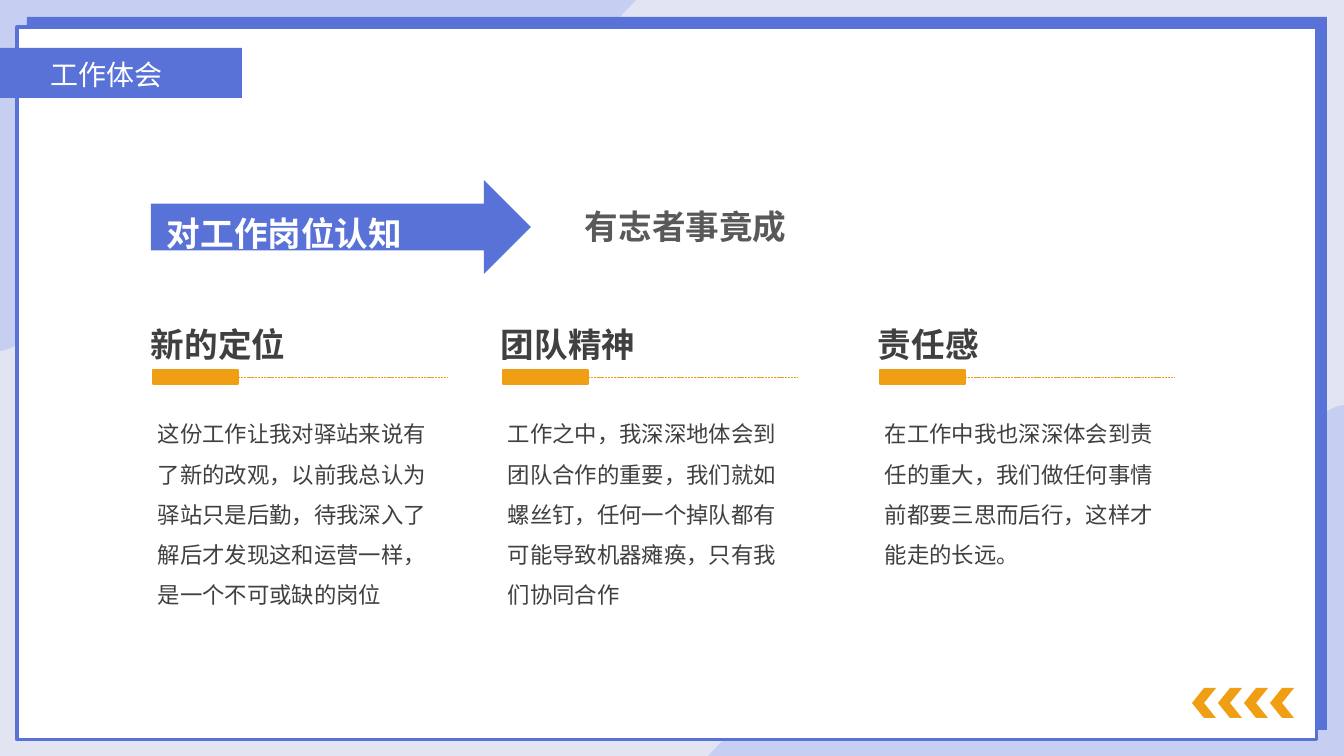
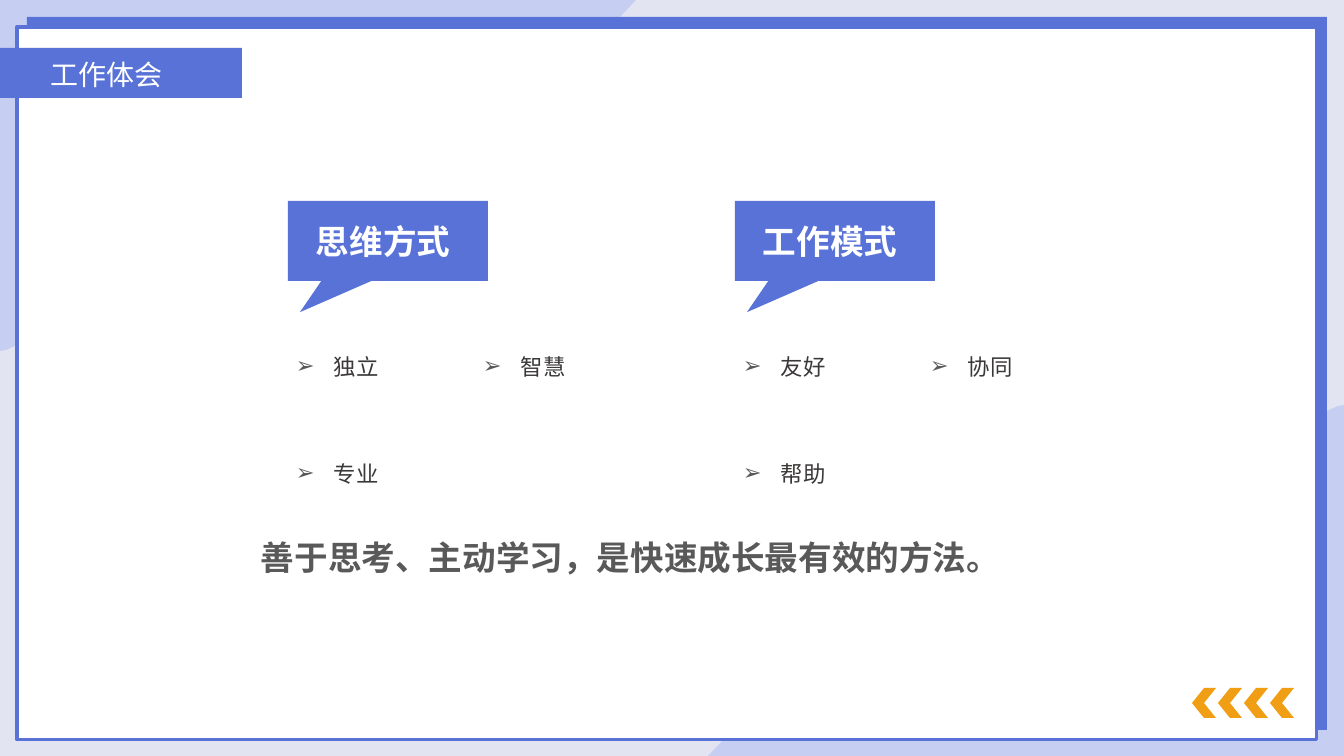
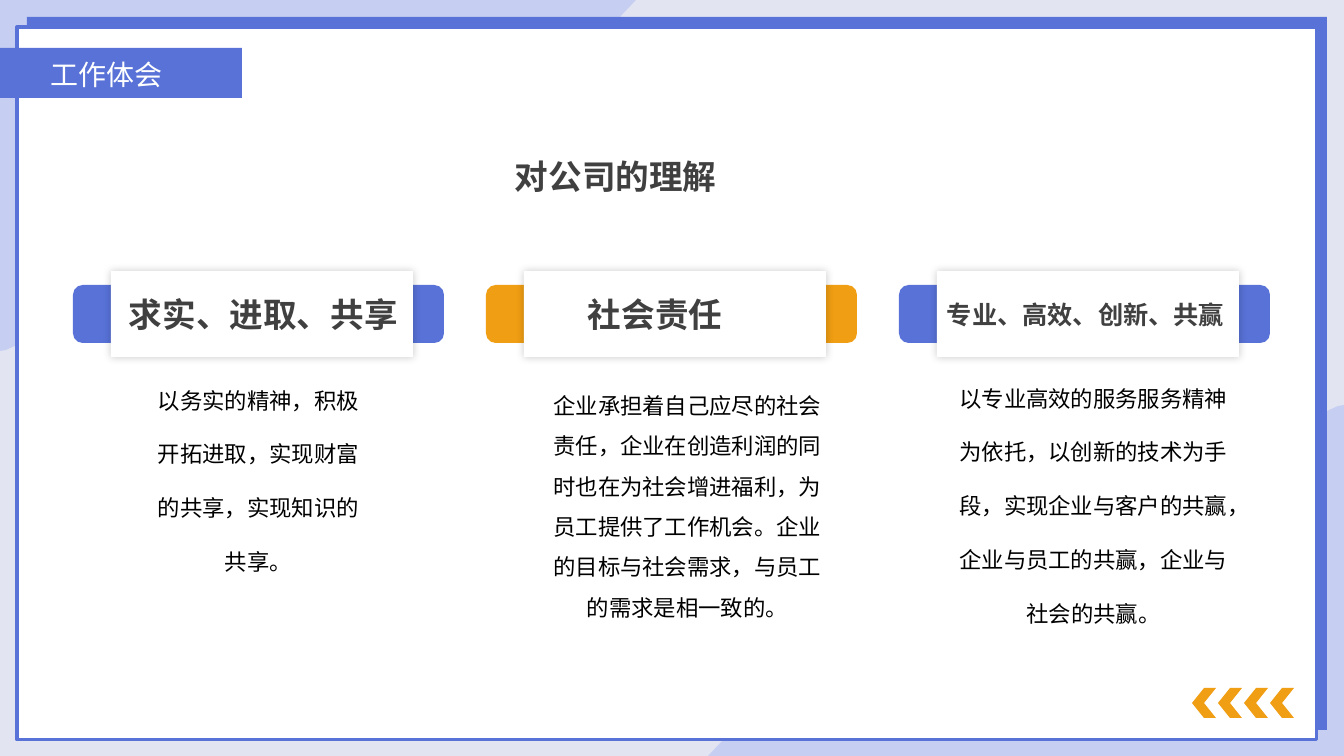
from lxml import etree
from pptx import Presentation
from pptx import util as u
from pptx.dml.color import RGBColor
from pptx.enum import dml, lang, shapes, text
from pptx.oxml.ns import qn

EMU_PER_PX = 914400 / 100.8
WIDTH, HEIGHT = 1344, 756
COLORS = {
    "blue": "5872D7", "orange": "F09E13", "white": "FFFFFF", "black": "000000",
    "page": "E2E5F1", "blob": "C6CFF2",
    "dark": "404040", "gray": "595959", "item": "3B3838",
}
LATIN, CJK = "Arial", "Noto Sans CJK SC"
SHAPE = shapes.MSO_SHAPE
ALIGN = text.PP_ALIGN
ANCHOR = text.MSO_ANCHOR


def px(n):
    return u.Emu(round(n * EMU_PER_PX))


def rgb(name):
    return RGBColor.from_string(COLORS[name])


def sub(parent, tag, **attrs):
    return etree.SubElement(parent, qn(tag), {k: str(v) for k, v in attrs.items()})


def write(tf, content, size=16, color="dark", bold=False, font=LATIN,
          align=ALIGN.LEFT, anchor=ANCHOR.TOP, spacing=None, bullet=None):
    """Put one formatted paragraph into a text frame."""
    tf.word_wrap = True
    tf.auto_size = text.MSO_AUTO_SIZE.NONE
    tf.vertical_anchor = anchor
    p = tf.paragraphs[0]
    p.alignment = align
    if spacing:
        p.line_spacing = spacing
    if bullet:
        pPr = p._p.get_or_add_pPr()
        pPr.set("marL", str(px(38)))
        pPr.set("indent", str(-px(38)))
        sub(sub(pPr, "a:buClr"), "a:srgbClr", val=COLORS["gray"])
        sub(pPr, "a:buFont", typeface=LATIN)
        sub(pPr, "a:buChar", char=bullet)
    r = p.add_run()
    r.text = content
    r.font.size = u.Pt(size)
    r.font.bold = bold
    r.font.name = font
    r.font.color.rgb = rgb(color)
    r.font.language_id = lang.MSO_LANGUAGE_ID.SIMPLIFIED_CHINESE
    sub(r._r.get_or_add_rPr(), "a:ea", typeface=CJK)


def curve(start, c1, c2, end, steps=16):
    """Points along a cubic curve, without its start."""
    for i in range(1, steps + 1):
        t = i / steps
        yield tuple((1 - t) ** 3 * a + 3 * t * (1 - t) ** 2 * b
                    + 3 * t * t * (1 - t) * c + t ** 3 * d
                    for a, b, c, d in zip(start, c1, c2, end))


class Deck:
    def __init__(self):
        self.prs = Presentation()
        self.prs.slide_width, self.prs.slide_height = px(WIDTH), px(HEIGHT)
        self.layout = self.prs.slide_layouts[5]
        self.s = None

    def slide(self, title):
        self.s = self.prs.slides.add_slide(self.layout)
        sp = self.s.shapes.title
        sp.left, sp.top, sp.width, sp.height = map(px, (40, 52, 192, 44))
        write(sp.text_frame, title, size=20, color="white", font=CJK)

    def style(self, sp, fill, line=None, weight=1):
        sp.shadow.inherit = False
        sp.fill.solid()
        sp.fill.fore_color.rgb = rgb(fill)
        if line:
            sp.line.color.rgb = rgb(line)
            sp.line.width = u.Pt(weight)
        else:
            sp.line.fill.background()
        return sp

    def shape(self, kind, x, y, w, h, fill, line=None, weight=1):
        sp = self.s.shapes.add_shape(kind, px(x), px(y), px(w), px(h))
        return self.style(sp, fill, line, weight)

    def label(self, sp, content, inset, **fmt):
        """Text inside a shape, starting at a left inset."""
        tf = sp.text_frame
        tf.margin_left = px(inset)
        tf.margin_right = tf.margin_top = tf.margin_bottom = 0
        write(tf, content, **{"size": 24, "bold": True,
                              "anchor": ANCHOR.MIDDLE, **fmt})

    def text(self, x, y, w, h, content, **fmt):
        sp = self.s.shapes.add_textbox(px(x), px(y), px(w), px(h))
        write(sp.text_frame, content, **fmt)

    def outline(self, points, fill):
        start, *rest = [(px(x), px(y)) for x, y in points]
        builder = self.s.shapes.build_freeform(*start, scale=1.0)
        builder.add_line_segments(rest, close=True)
        self.style(builder.convert_to_shape(), fill)

    def dashed_from(self, sp, x, y):
        """Dashed line from the right side of a shape to a point."""
        line = self.s.shapes.add_connector(
            shapes.MSO_CONNECTOR.STRAIGHT, sp.left + sp.width, px(y), px(x), px(y))
        line.begin_connect(sp, 3)
        line.line.color.rgb = rgb("orange")
        line.line.width = u.Pt(0.5)
        line.line.dash_style = dml.MSO_LINE.SQUARE_DOT
        sub(line.element.spPr, "a:effectLst")

    def glow(self, sp):
        """Soft shadow on all sides."""
        effects = sp.element.spPr.find(qn("a:effectLst"))
        shadow = sub(effects, "a:outerShdw", blurRad=u.Pt(6), dist=0, dir=0,
                     algn="ctr", rotWithShape=0)
        color = sub(shadow, "a:srgbClr", val=COLORS["black"])
        sub(color, "a:alpha", val=20000)

    def frame(self):
        """Draw the shared frame and move it into the layout."""
        fill = self.layout.background.fill
        fill.solid()
        fill.fore_color.rgb = rgb("page")
        # Corner blobs, one the other turned half round
        blob = [(0, 351), (0, 0), (636, 0), (620, 17)]
        for bend in (((564, 75), (508, 125), (451, 156)),
                     ((359, 207), (248, 176), (169, 210)),
                     ((100, 239), (75, 323), (6, 350))):
            blob += curve(blob[-1], *bend)
        self.outline([(WIDTH - x, HEIGHT - y) for x, y in blob], "blob")
        self.outline(blob, "blob")
        # Panel, title band and chevrons
        self.shape(SHAPE.RECTANGLE, 27, 17, 1300, 713, "blue")
        self.shape(SHAPE.RECTANGLE, 17, 27, 1300, 713, "white", "blue", 2.25)
        self.shape(SHAPE.RECTANGLE, 0, 48, 242, 50, "blue")
        for i in range(4):
            self.shape(SHAPE.CHEVRON, 1192 + 26 * i, 688, 24, 30, "orange").rotation = 180
        tree = self.layout.shapes.element
        for sp in list(self.s.shapes):
            if not sp.is_placeholder:
                tree.append(sp.element)
        for i, props in enumerate(tree.iter(qn("p:cNvPr")), 1):
            props.set("id", str(i))


def job_slide(d):
    d.text(575, 201, 307, 59, "有志者事竟成", size=24, color="gray", bold=True)
    arrow = d.shape(SHAPE.RIGHT_ARROW, 151, 180, 380, 94, "blue")
    d.label(arrow, "对工作岗位认知", 16, color="white", spacing=1.3)
    # Three columns
    columns = [
        (153, "新的定位", "这份工作让我对驿站来说有了新的改观，以前我总认为驿站只是后勤，"
                      "待我深入了解后才发现这和运营一样，是一个不可或缺的岗位"),
        (503, "团队精神", "工作之中，我深深地体会到团队合作的重要，我们就如螺丝钉，"
                      "任何一个掉队都有可能导致机器瘫痪，只有我们协同合作"),
        (880, "责任感", "在工作中我也深深体会到责任的重大，我们做任何事情前都要三思而后行，"
                     "这样才能走的长远。"),
    ]
    for x, heading, body in columns:
        bar = d.shape(SHAPE.RECTANGLE, x, 370, 85, 14, "orange", "orange")
        d.dashed_from(bar, x + 295, 377)
        d.text(x - 12, 287, 182, 74, heading, size=24, bold=True, spacing=1.8)
        d.text(x - 5, 402, 291, 214, body, spacing=1.5)


def thinking_slide(d):
    groups = [(288, "思维方式", ("独立", "智慧", "专业")),
              (735, "工作模式", ("友好", "协同", "帮助"))]
    for x, heading, items in groups:
        callout = d.shape(SHAPE.RECTANGULAR_CALLOUT, x, 201, 200, 80, "blue")
        callout.adjustments[0], callout.adjustments[1] = -0.44, 0.89
        d.label(callout, heading, 28, color="white")
        for i, item in enumerate(items):
            row, col = divmod(i, 2)
            d.text(x - 2 + 187 * col, 321 + 107 * row, 167, 56, item,
                   color="item", spacing=2.0, bullet="➢")
    d.text(251, 532, 809, 59, "善于思考、主动学习，是快速成长最有效的方法。",
           size=24, color="gray", bold=True)


def company_slide(d):
    d.text(505, 151, 278, 35, "对公司的理解", size=24, bold=True)
    # Colour, heading, its size and inset, body box, line spacing, body
    cards = [
        ("blue", "求实、进取、共享", 24, 18, (144, 355, 229, 228), 2.0,
         "以务实的精神，积极开拓进取，实现财富的共享，实现知识的共享。"),
        ("orange", "社会责任", 24, 64, (538, 374, 299, 254), 1.5,
         "企业承担着自己应尽的社会责任，企业在创造利润的同时也在为社会增进福利，"
         "为员工提供了工作机会。企业的目标与社会需求，与员工的需求是相一致的。"),
        ("blue", "专业、高效、创新、共赢", 18, 10, (946, 353, 295, 281), 2.0,
         "以专业高效的服务服务精神为依托，以创新的技术为手段，实现企业与客户的共赢，"
         "企业与员工的共赢，企业与社会的共赢。"),
    ]
    for i, (fill, heading, size, inset, box, spacing, body) in enumerate(cards):
        x = 73 + 413 * i
        d.shape(SHAPE.ROUNDED_RECTANGLE, x, 285, 371, 58, fill)
        card = d.shape(SHAPE.RECTANGLE, x + 38, 271, 302, 86, "white")
        d.glow(card)
        d.label(card, heading, inset, size=size)
        d.text(*box, body, color="black", align=ALIGN.CENTER, spacing=spacing)


def main():
    d = Deck()
    for i, build in enumerate((job_slide, thinking_slide, company_slide)):
        d.slide("工作体会")
        if i == 0:
            d.frame()
        build(d)
    d.prs.save("out.pptx")


if __name__ == "__main__":
    main()
